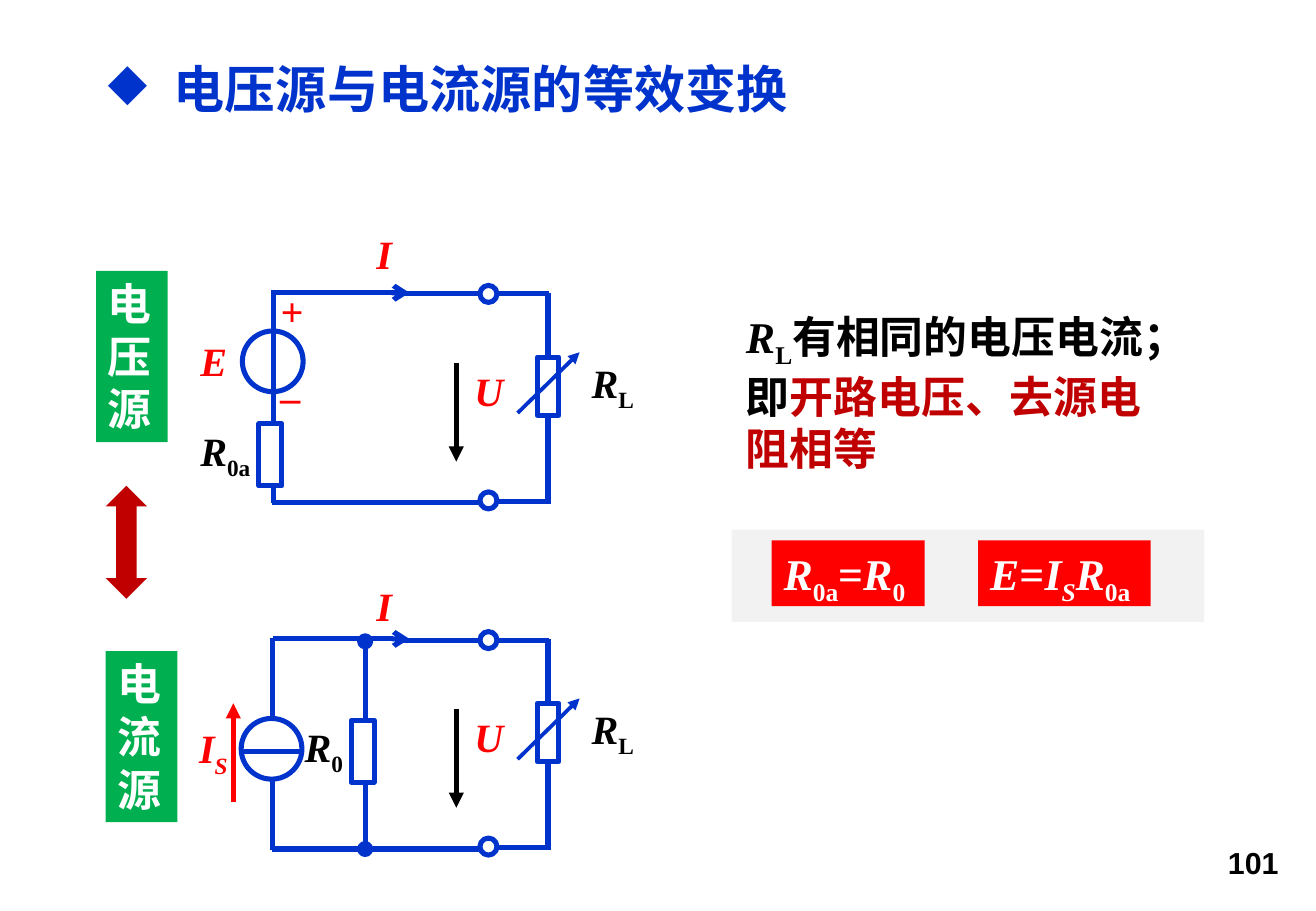
from dataclasses import dataclass

from lxml.etree import SubElement
from pptx import Presentation
from pptx.dml.color import RGBColor
from pptx.enum.shapes import MSO_CONNECTOR, MSO_SHAPE
from pptx.enum.text import MSO_ANCHOR, PP_ALIGN
from pptx.oxml.ns import qn
from pptx.util import Inches, Pt


@dataclass(frozen=True)
class Theme:
    blue: str = "0033CC"
    red: str = "FF0000"
    dark: str = "C00000"
    green: str = "00B050"
    gray: str = "F2F2F2"
    black: str = "000000"
    white: str = "FFFFFF"
    serif: str = "Times New Roman"
    sans: str = "Arial"
    title: float = 30.3
    body: float = 26
    label: float = 23.8
    page: float = 18
    wire: float = 3
    thin: float = 2.25


T = Theme()
COLS, ROWS = 108.3, 75
CELL = Inches(0.1)
SLANT = {"italic": True}
LOW = {"sub": True}


def cells(*spans):
    return [round(span * CELL) for span in spans]


def write(frame, *lines, size=T.label, color=T.black, face=T.serif,
          align=PP_ALIGN.LEFT, anchor=MSO_ANCHOR.TOP, wrap=False, bullet=None):
    frame.word_wrap = wrap
    frame.vertical_anchor = anchor
    for row, line in enumerate(lines):
        para = frame.add_paragraph() if row else frame.paragraphs[0]
        para.alignment = align
        if bullet:
            props = para._p.get_or_add_pPr()
            props.set("marL", str(Inches(0.54)))
            props.set("indent", str(-Inches(0.54)))
            SubElement(props, qn("a:buChar")).set("char", bullet)
        for words, style in line:
            run = para.add_run()
            run.text = words
            font = run.font
            font.name, font.size, font.bold = face, Pt(size), True
            font.italic = style.get("italic", False)
            font.color.rgb = RGBColor.from_string(style.get("color", color))
            if style.get("sub"):
                run._r.get_or_add_rPr().set("baseline", "-25000")


def label(slide, box, *lines, **style):
    write(slide.shapes.add_textbox(*cells(*box)).text_frame, *lines, **style)


def shape(slide, kind, box, fill=None, line=None):
    item = slide.shapes.add_shape(kind, *cells(*box))
    item.shadow.inherit = False
    if fill:
        item.fill.solid()
        item.fill.fore_color.rgb = RGBColor.from_string(fill)
    else:
        item.fill.background()
    if line:
        item.line.color.rgb = RGBColor.from_string(line)
        item.line.width = Pt(T.wire)
    else:
        item.line.fill.background()
    return item


def panel(slide, box, fill, runs, **style):
    item = shape(slide, MSO_SHAPE.RECTANGLE, box, fill)
    write(item.text_frame, runs, size=T.body, color=T.white, **style)


def wire(slide, start, end, color=T.blue, width=T.wire, head=None):
    item = slide.shapes.add_connector(MSO_CONNECTOR.STRAIGHT, *cells(*start, *end))
    item.line.color.rgb = RGBColor.from_string(color)
    item.line.width = Pt(width)
    if head:
        SubElement(item.line._get_or_add_ln(), qn("a:tailEnd")).set("type", head)
    SubElement(item._element.spPr, qn("a:effectLst"))


def ring(slide, mid, size, fill=None):
    x, y = mid
    box = (x - size / 2, y - size / 2, size, size)
    shape(slide, MSO_SHAPE.OVAL, box, fill, T.blue)


def resist(slide, mid, width, height):
    x, y = mid
    box = (x - width / 2, y - height / 2, width, height)
    shape(slide, MSO_SHAPE.RECTANGLE, box, T.white, T.blue)


def loop(slide, top, rise):
    wire(slide, (22.5, top), (33.7, top), head="arrow")
    wire(slide, (32.9, top + 0.1), (39.8, top + 0.1))
    wire(slide, (22.4, top + 17.3), (39.8, top + 17.3))
    wire(slide, (37.55, top + 5.8), (37.55, top + 13.9), T.black, head="triangle")
    label(slide, (30, top - rise, 3.3, 5), [("I", SLANT)], color=T.red)
    label(slide, (38.05, top + 5.55, 4.4, 5), [("U", SLANT)], color=T.red)
    for drop in (0.1, 17.2):
        wire(slide, (40.9, top + drop), (45.2, top + drop))
    wire(slide, (45.1, top), (45.1, top + 17.4))
    resist(slide, (45.1, top + 7.7), 1.8, 4.8)
    label(slide, (47.7, top + 4.9, 5.7, 5), [("R", SLANT), ("L", LOW)])
    wire(slide, (42.6, top + 9.9), (47.7, top + 4.9), width=T.thin, head="triangle")
    for drop in (0.1, 17.1):
        ring(slide, (40.2, top + drop), 1.4, T.white)


def volts(slide, top):
    ring(slide, (22.45, top + 5.65), 5)
    wire(slide, (22.5, top - 0.2), (22.5, top + 17.3))
    resist(slide, (22.25, top + 13.35), 1.9, 5.1)
    for mark, x, drop in (("E", 15.5, 3.1), ("+", 22.1, -1), ("_", 22.3, 4.9)):
        label(slide, (x, top + drop, 4.4, 5.1), [(mark, SLANT)], color=T.red)
    label(slide, (15.5, top + 10.5, 6.7, 5.1), [("R", SLANT), ("0a", LOW)])


def amps(slide, top):
    ring(slide, (22.35, top + 9.05), 5)
    wire(slide, (22.4, top - 0.1), (22.4, top + 6.6))
    wire(slide, (22.4, top + 11.5), (22.4, top + 17.4))
    wire(slide, (20.1, top + 9.3), (24.8, top + 9.3))
    wire(slide, (30.1, top), (30.1, top + 17.4))
    resist(slide, (29.85, top + 9.25), 1.9, 5.1)
    for drop in (0.2, 17.3):
        ring(slide, (30.05, top + drop), 0.9, T.blue)
    label(slide, (24.1, top + 6.4, 5.6, 5.1), [("R", SLANT), ("0", LOW)])
    label(slide, (15.4, top + 6.5, 4.7, 5.1),
          [("I", SLANT), ("S", SLANT | LOW)], color=T.red)
    wire(slide, (19.2, top + 13.4), (19.2, top + 5.3), T.red, head="triangle")


def notes(slide):
    shape(slide, MSO_SHAPE.RECTANGLE, (60.2, 43.6, 38.9, 7.6), T.gray)
    label(slide, (60.4, 25, 38.1, 14.1),
          [("R", SLANT), ("L", LOW), ("有相同的电压电流；", {})],
          [("即", {}), ("开路电压、去源电阻相等", {"color": T.dark})],
          size=T.body, wrap=True)
    panel(slide, (63.5, 44.5, 12.6, 5.4), T.red,
          [("R", SLANT), ("0a", LOW), ("=", {}), ("R", SLANT), ("0", LOW)])
    panel(slide, (80.5, 44.5, 14.2, 5.4), T.red,
          [("E", SLANT), ("=", {}), ("I", SLANT), ("S", SLANT | LOW),
           ("R", SLANT), ("0a", LOW)])


def main():
    deck = Presentation()
    deck.slide_width, deck.slide_height = cells(COLS, ROWS)
    slide = deck.slides.add_slide(deck.slide_layouts[6])
    label(slide, (7.9, 4.2, 72.7, 6.1), [("电压源与电流源的等效变换", {})],
          size=T.title, color=T.blue, wrap=True, bullet="◆")
    for draw, top, rise in ((volts, 24.1, 5.7), (amps, 52.6, 5.2)):
        loop(slide, top, rise)
        draw(slide, top)
    for name, x, y in (("电压源", 7.9, 22.3), ("电流源", 8.7, 53.6)):
        panel(slide, (x, y, 5.9, 14.1), T.green, [(name, {})], wrap=True)
    shape(slide, MSO_SHAPE.UP_DOWN_ARROW, (8.7, 40, 3.4, 9.3), T.dark)
    notes(slide)
    label(slide, (76.3, 69, 29.9, 4), [("101", {})], size=T.page, face=T.sans,
          align=PP_ALIGN.RIGHT, anchor=MSO_ANCHOR.MIDDLE, wrap=True)
    deck.save("out.pptx")


if __name__ == "__main__":
    main()
